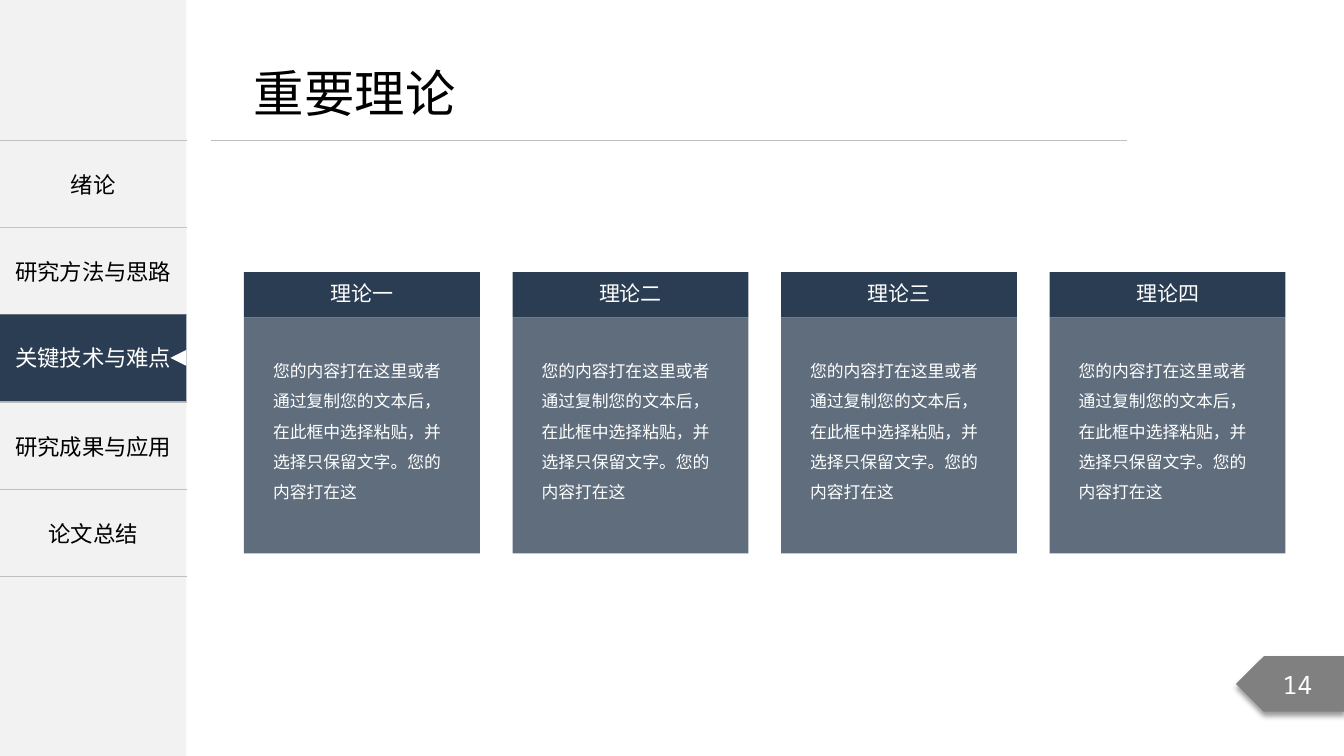
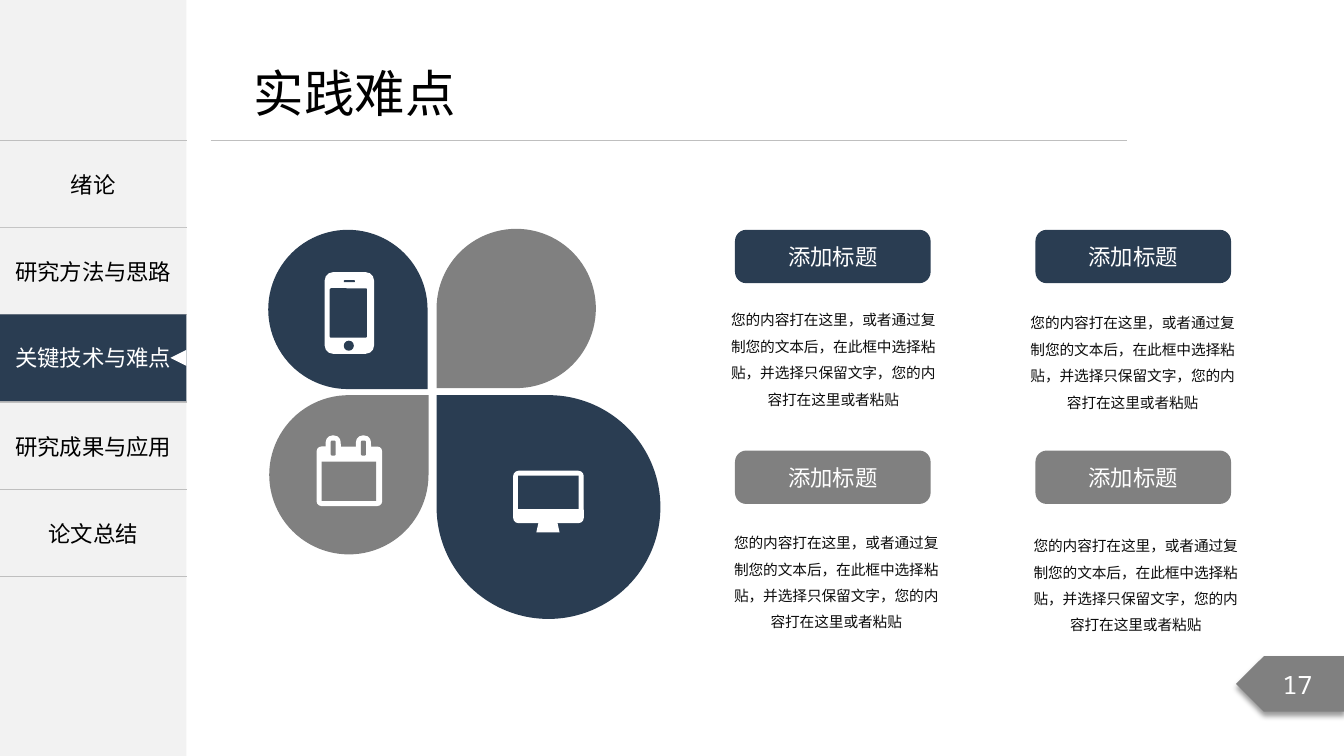
import lxml.etree
import pptx
import pptx.dml.color
import pptx.enum.shapes
import pptx.enum.text
import pptx.oxml.ns
import pptx.util

Inches = pptx.util.Inches
Pt = pptx.util.Pt
qn = pptx.oxml.ns.qn
SHAPE = pptx.enum.shapes.MSO_SHAPE
ALIGN = pptx.enum.text.PP_ALIGN
ANCHOR = pptx.enum.text.MSO_ANCHOR
AUTO_SIZE = pptx.enum.text.MSO_AUTO_SIZE

# Shared look
NAVY, GREY, PALE, RULE = "2A3D52", "808080", "F2F2F2", "BFBFBF"
WHITE, BLACK, INK = "FFFFFF", "000000", "0D0D0D"
SANS, MONO, LATIN = "Noto Sans CJK SC", "Noto Sans Mono", "Arial"
NO_TABLE_STYLE = "{2D5ABB26-0587-4C30-8999-92F81FD0307C}"
SIDEBAR_WIDTH, MENU_TOP, MENU_HEIGHT = 1.85, 1.39, 4.33

TITLE = {"size": 36, "name": SANS, "color": BLACK}
MENU = {"size": 16, "name": SANS, "color": BLACK, "alignment": ALIGN.CENTER}
MENU_ACTIVE = {**MENU, "color": WHITE}
PAGE_NUMBER = {"size": 18, "name": MONO, "color": WHITE, "alignment": ALIGN.CENTER}
CARD_TITLE = {"size": 15, "name": SANS, "color": WHITE, "alignment": ALIGN.CENTER}
CARD_BODY = {"size": 12, "name": SANS, "color": WHITE, "line_spacing": 1.5}
BUTTON = {"size": 16, "name": LATIN, "color": WHITE, "alignment": ALIGN.CENTER}
TOPIC_BODY = {"size": 10.5, "name": SANS, "color": INK,
              "alignment": ALIGN.CENTER, "line_spacing": 1.5}

# Content: an empty menu row lies under one of the tabs
MENU_ROWS = ["绪论", "", "", "研究成果与应用", "论文总结"]
# Tabs: text, top, fill, style
MENU_TABS = [
    ("研究方法与思路", 2.26, PALE, MENU),
    ("关键技术与难点", 3.12, NAVY, MENU_ACTIVE),
]

THEORIES = ["理论一", "理论二", "理论三", "理论四"]
THEORY_TEXT = ("您的内容打在这里或者通过复制您的文本后，在此框中选择粘贴，"
               "并选择只保留文字。您的内容打在这")

TOPIC_TITLE = "添加标题"
TOPIC_TEXT = ("您的内容打在这里，或者通过复制您的文本后，在此框中选择粘贴，"
              "并选择只保留文字，您的内容打在这里或者粘贴")
TOPIC_ROWS = [NAVY, GREY]

# Icon parts: preset, left, top, width, height, corner, cut out of the icon
BOX, ROUND, DISC = SHAPE.RECTANGLE, SHAPE.ROUNDED_RECTANGLE, SHAPE.OVAL
CALENDAR = [
    (ROUND, 3.14, 4.43, 0.65, 0.59, 0.08, False),
    (BOX, 3.19, 4.58, 0.54, 0.39, None, True),
] + [part for left in (3.23, 3.53) for part in (
    (ROUND, left, 4.32, 0.15, 0.24, 0.45, False),
    (ROUND, left + 0.05, 4.37, 0.05, 0.15, 0.3, True))]
MONITOR = [
    (ROUND, 5.09, 4.67, 0.7, 0.52, 0.1, False),
    (BOX, 5.14, 4.72, 0.6, 0.33, None, True),
    (SHAPE.TRAPEZOID, 5.32, 5.19, 0.23, 0.09, 0.22, False),
]
PHONE = [
    (ROUND, 3.22, 2.7, 0.49, 0.81, 0.17, False),
    (ROUND, 3.27, 2.86, 0.37, 0.49, 0.04, True),
    (ROUND, 3.41, 2.78, 0.11, 0.02, 0.3, True),
    (DISC, 3.41, 3.38, 0.1, 0.1, None, True),
]
# Petals: left, top, size, rotation, colour, icon parts, icon outlines
AXES = [(4.77, 2.81), (4.81, 2.81), (4.81, 3.29), (5.47, 3.29), (5.47, 3.34), (4.77, 3.34)]
BARS = [(4.9, 3.07), (5.03, 2.89), (5.17, 2.98), (5.3, 2.86)]
BAR_WIDTH, BAR_BASE = 0.09, 3.25
BAR_CHART = [AXES] + [
    [(left, top), (left + BAR_WIDTH, top), (left + BAR_WIDTH, BAR_BASE), (left, BAR_BASE)]
    for left, top in BARS]
PETALS = [
    (2.67, 3.92, 1.58, 0, GREY, CALENDAR, []),
    (4.33, 3.92, 2.22, 270, NAVY, MONITOR, []),
    (4.33, 2.27, 1.58, 180, GREY, [], BAR_CHART),
    (2.66, 2.28, 1.58, 90, NAVY, PHONE, []),
]


def rgb(value):
    return pptx.dml.color.RGBColor.from_string(value)


def add_xml(parent, tag, **attributes):
    element = lxml.etree.SubElement(parent, qn(tag))
    for name, value in attributes.items():
        element.set(name, str(value))
    return element


def write(frame, text, style):
    """Put one styled paragraph into a text frame."""
    paragraph = frame.paragraphs[0]
    run = paragraph.add_run()
    run.text = text
    for name, value in style.items():
        if name == "size":
            run.font.size = Pt(value)
        elif name == "color":
            run.font.color.rgb = rgb(value)
        elif name == "name":
            run.font.name = value
            add_xml(run._r.get_or_add_rPr(), "a:ea", typeface=value)
        else:
            setattr(paragraph, name, value)


def set_margins(frame, horizontal, vertical):
    frame.margin_left = frame.margin_right = Inches(horizontal)
    frame.margin_top = frame.margin_bottom = Inches(vertical)


def paint(shape, color):
    shape.shadow.inherit = False
    shape.fill.solid()
    shape.fill.fore_color.rgb = rgb(color)
    shape.line.fill.background()


def add_shape(shapes, preset, left, top, width, height, color, corner=None, rotation=0):
    shape = shapes.add_shape(preset, Inches(left), Inches(top), Inches(width), Inches(height))
    paint(shape, color)
    shape.rotation = rotation
    if corner is not None:
        shape.adjustments[0] = corner
    return shape


def add_outlines(shapes, outlines, color):
    """Draw several closed outlines as one freeform."""
    builder = shapes.build_freeform(*outlines[0][0], scale=Inches(1))
    for index, points in enumerate(outlines):
        if index:
            builder.move_to(*points[0])
        builder.add_line_segments(points[1:], close=True)
    paint(builder.convert_to_shape(), color)


def add_text(shapes, left, top, width, height, text, style, wrap=True, margins=(0.1, 0.05)):
    box = shapes.add_textbox(Inches(left), Inches(top), Inches(width), Inches(height))
    frame = box.text_frame
    frame.word_wrap = wrap
    frame.auto_size = AUTO_SIZE.SHAPE_TO_FIT_TEXT
    set_margins(frame, *margins)
    write(frame, text, style)


def add_menu(slide):
    """Sidebar with the chapter table, two tabs and a marker on the active one."""
    shapes = slide.shapes
    add_shape(shapes, BOX, 0, 0, SIDEBAR_WIDTH, 7.5, PALE)
    table = shapes.add_table(len(MENU_ROWS), 1, 0, Inches(MENU_TOP), Inches(SIDEBAR_WIDTH),
                             Inches(MENU_HEIGHT)).table
    table.first_row = table.horz_banding = False
    table._tbl.tblPr.find(qn("a:tableStyleId")).text = NO_TABLE_STYLE
    for index, chapter in enumerate(MENU_ROWS):
        cell = table.cell(index, 0)
        cell.vertical_anchor = ANCHOR.MIDDLE
        for side in ("a:lnT", "a:lnB"):
            border = add_xml(cell._tc.get_or_add_tcPr(), side, w=Pt(1))
            add_xml(add_xml(border, "a:solidFill"), "a:srgbClr", val=RULE)
        cell.fill.background()
        if chapter:
            write(cell.text_frame, chapter, MENU)
    for chapter, top, color, style in MENU_TABS:
        tab = add_shape(shapes, BOX, 0, top, SIDEBAR_WIDTH, 0.86, color)
        tab.text_frame.vertical_anchor = ANCHOR.MIDDLE
        write(tab.text_frame, chapter, style)
    add_shape(shapes, SHAPE.ISOSCELES_TRIANGLE, 1.69, 3.47, 0.16, 0.16, WHITE, rotation=270)


def add_page_tag(slide, number):
    """Arrow tag with the page number and a soft shadow."""
    tag = add_shape(slide.shapes, SHAPE.PENTAGON, 12.26, 6.51, 1.08, 0.55, GREY)
    properties = tag._element.spPr
    properties.find(qn("a:xfrm")).set("flipH", "1")
    shadow = add_xml(properties.find(qn("a:effectLst")), "a:outerShdw", blurRad=Pt(4),
                     dist=Pt(3), dir=90 * 60000, algn="t", rotWithShape=0)
    add_xml(add_xml(shadow, "a:srgbClr", val=BLACK), "a:alpha", val=40000)
    tag.text_frame.vertical_anchor = ANCHOR.MIDDLE
    write(tag.text_frame, str(number), PAGE_NUMBER)


def new_slide(presentation, title, number):
    slide = presentation.slides.add_slide(presentation.slide_layouts[6])
    add_menu(slide)
    rule = slide.shapes.add_connector(pptx.enum.shapes.MSO_CONNECTOR.STRAIGHT, Inches(2.09),
                                      Inches(MENU_TOP), Inches(11.18), Inches(MENU_TOP))
    rule.line.color.rgb = rgb(RULE)
    rule.line.width = Pt(0.5)
    add_xml(rule._element.spPr, "a:effectLst")
    add_page_tag(slide, number)
    add_text(slide.shapes, 2.42, 0.57, 2.22, 0.71, title, TITLE, wrap=False)
    return slide


def build_theories(presentation):
    slide = new_slide(presentation, "重要理论", 14)
    first, last, width, top, header = 2.42, 10.41, 2.34, 2.7, 0.45
    pitch = (last - first) / (len(THEORIES) - 1)
    for index, theory in enumerate(THEORIES):
        left = first + index * pitch
        shapes = slide.shapes.add_group_shape().shapes
        add_shape(shapes, BOX, left, top, width, header, NAVY)
        panel = add_shape(shapes, BOX, left, top + header, width, width, NAVY)
        fill_color = panel._element.spPr.find(qn("a:solidFill"))[0]
        add_xml(fill_color, "a:alpha", val=75000)
        add_text(shapes, left + 0.38, top + 0.03, 1.58, 0.35, theory, CARD_TITLE)
        add_text(shapes, left + 0.19, top + 0.73, 1.97, 1.58, THEORY_TEXT, CARD_BODY)


def build_difficulties(presentation):
    slide = new_slide(presentation, "实践难点", 17)
    # Petals with icons
    for left, top, size, rotation, color, icon, outlines in PETALS:
        shapes = slide.shapes.add_group_shape().shapes
        add_shape(shapes, SHAPE.TEAR, left, top, size, size, color, rotation=rotation)
        for preset, x, y, width, height, corner, cut_out in icon:
            add_shape(shapes, preset, x, y, width, height, color if cut_out else WHITE, corner)
        if outlines:
            add_outlines(shapes, outlines, WHITE)
    # Topics in a two by two grid
    for row, color in enumerate(TOPIC_ROWS):
        for column in range(2):
            button = add_shape(slide.shapes, ROUND, 7.29 + 2.98 * column, 2.28 + 2.19 * row,
                               1.94, 0.53, color, 0.211)
            button.text_frame.vertical_anchor = ANCHOR.MIDDLE
            set_margins(button.text_frame, 0, 0)
            write(button.text_frame, TOPIC_TITLE, BUTTON)
            add_text(slide.shapes, 7.14 + 2.97 * column + 0.03 * row,
                     2.97 + 2.21 * row + 0.03 * column, 2.25, 1.11,
                     TOPIC_TEXT, TOPIC_BODY, margins=(0.05, 0.03))


def main():
    presentation = pptx.Presentation()
    presentation.slide_width = Inches(13.33)
    presentation.slide_height = Inches(7.5)
    build_theories(presentation)
    build_difficulties(presentation)
    presentation.save("out.pptx")


if __name__ == "__main__":
    main()
